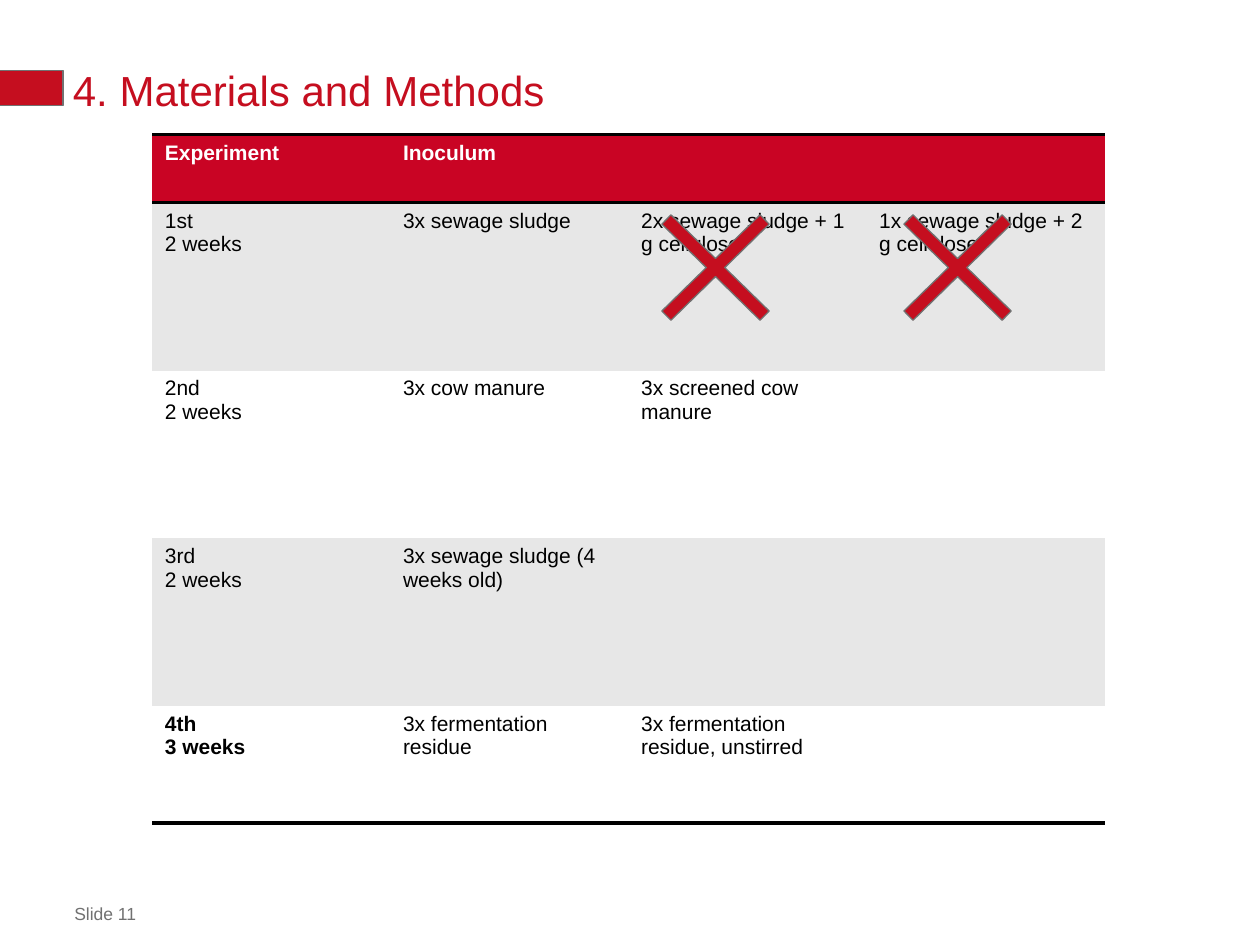
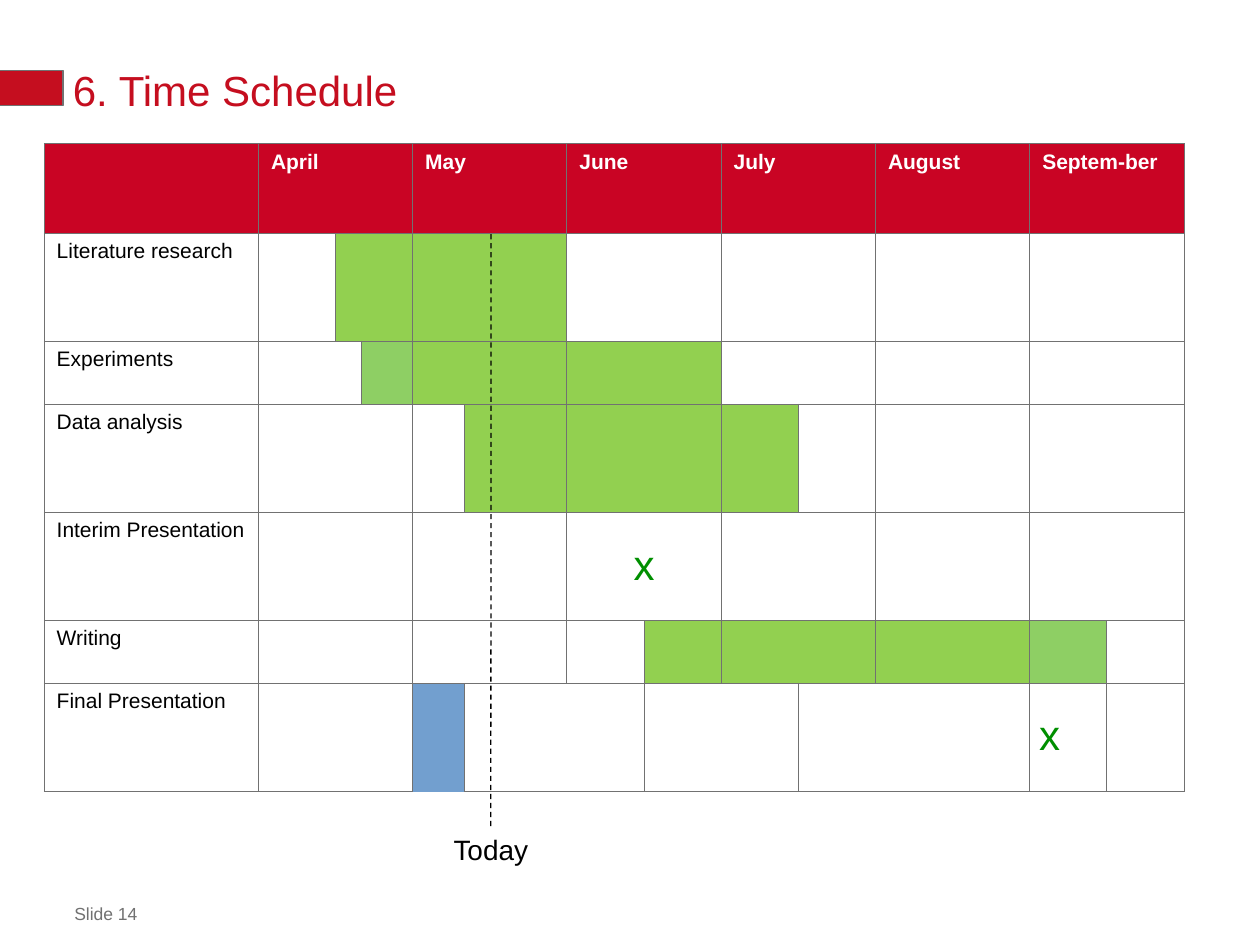
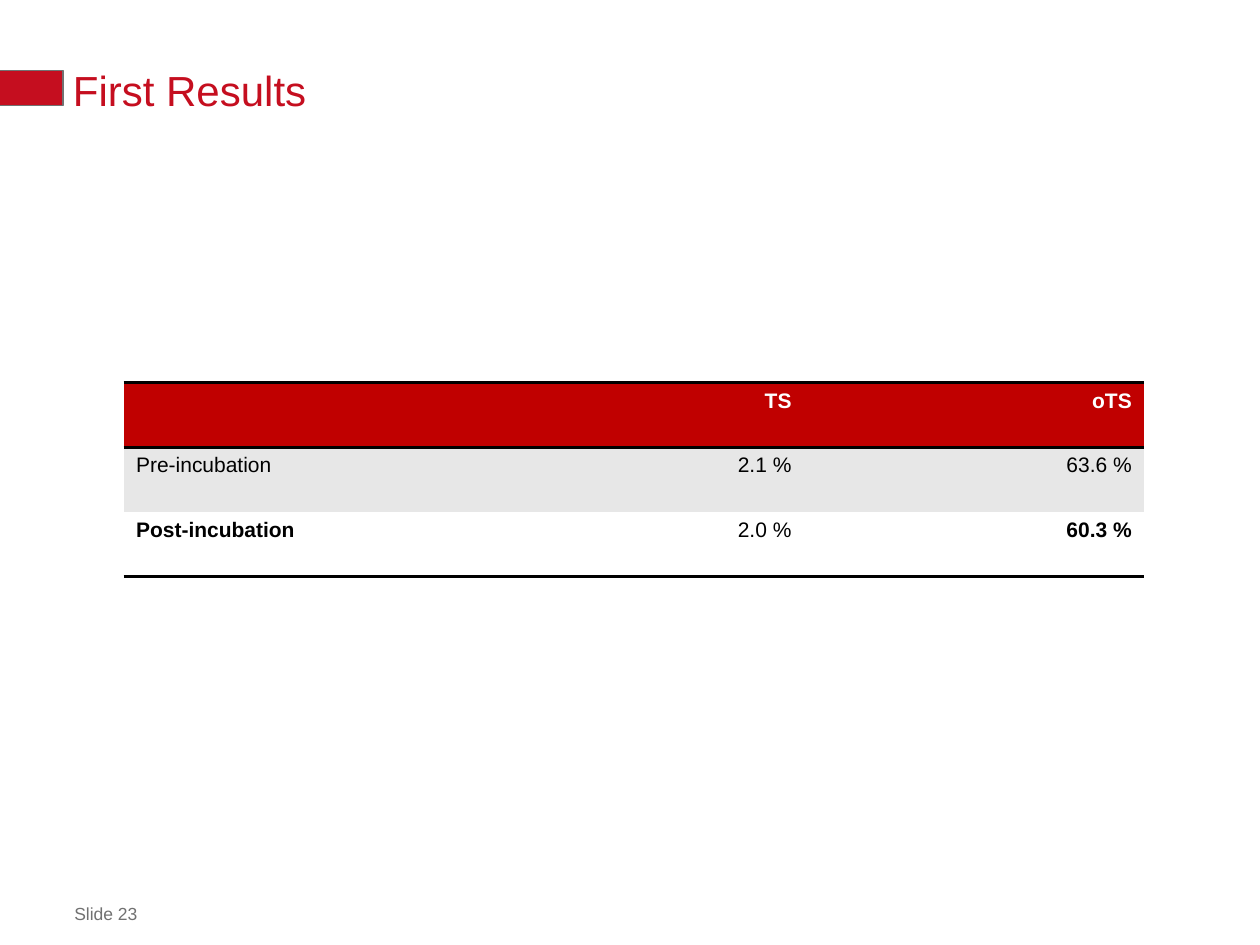
from lxml import etree
from pptx import Presentation
from pptx.dml.color import RGBColor
from pptx.enum import dml, shapes, text
from pptx.oxml.ns import qn
from pptx import util as u

RED, HEAD, DARK = "C50E1F", "C90424", "C00000"
GREY, BAND, WHITE, BLACK = "717171", "E7E7E7", "FFFFFF", "000000"
GREEN, PALE, MARK = "92D050", "8ECF64", "008F00"
PLAIN = "{2D5ABB26-0587-4C30-8999-92F81FD0307C}"
LEFT, MID, RIGHT = text.PP_ALIGN.LEFT, text.PP_ALIGN.CENTER, text.PP_ALIGN.RIGHT


def tint(code):
    return RGBColor.from_string(code)


class Deck:
    font = "Arial"

    def __init__(self):
        self.show = Presentation()
        self.show.slide_width = u.Cm(25.4)
        self.show.slide_height = u.Cm(19.05)
        self.page = None

    def slide(self, title, number):
        self.page = self.show.slides.add_slide(self.show.slide_layouts[6])
        self.label(f"Slide {number}", 1.5, 18.21, 18.39, 0.43, 10, GREY, pad=0)
        self.shape(shapes.MSO_SHAPE.RECTANGLE, -0.03, 1.42, 1.3, 0.71)
        head = self.label(title, 1.47, 1.32, 22.4, 0.99, 24, RED, pad=0)
        head.text_frame.vertical_anchor = text.MSO_ANCHOR.BOTTOM
        head.text_frame.paragraphs[0].line_spacing = u.Pt(30)

    def words(self, frame, copy, size, ink, align=LEFT, bold=False):
        frame.text = copy
        for para in frame.paragraphs:
            para.alignment = align
            for run in para.runs:
                run.font.name = self.font
                run.font.size = u.Pt(size)
                run.font.bold = bold
                run.font.color.rgb = tint(ink)

    def label(self, copy, x, y, wide, high, size, ink, align=LEFT, pad=None):
        box = self.page.shapes.add_textbox(u.Cm(x), u.Cm(y), u.Cm(wide), u.Cm(high))
        frame = box.text_frame
        frame.word_wrap = True
        if pad is not None:
            frame.margin_left = frame.margin_right = u.Cm(pad)
            frame.margin_top = frame.margin_bottom = u.Cm(pad)
        self.words(frame, copy, size, ink, align)
        return box

    def shape(self, kind, x, y, wide, high):
        item = self.page.shapes.add_shape(kind, u.Cm(x), u.Cm(y), u.Cm(wide), u.Cm(high))
        item.shadow.inherit = False
        item.fill.solid()
        item.fill.fore_color.rgb = tint(RED)
        item.line.color.rgb = tint(GREY)
        item.line.width = u.Pt(0.75)
        return item

    def cross(self, x, y):
        item = self.shape(shapes.MSO_SHAPE.MATH_MULTIPLY, x, y, 3.81, 3.73)
        item.adjustments[0] = 0.07

    def dash(self, x, top, goal):
        line = self.page.shapes.add_connector(
            shapes.MSO_CONNECTOR.STRAIGHT, u.Cm(x), u.Cm(top), u.Cm(x), goal.top)
        line.end_connect(goal, 0)
        line.line.color.rgb = tint(BLACK)
        line.line.width = u.Pt(0.75)
        line.line.dash_style = dml.MSO_LINE.DASH
        etree.SubElement(line._element.spPr, qn("a:effectLst"))

    def table(self, x, y, cols, rows):
        frame = self.page.shapes.add_table(
            len(rows), len(cols), u.Cm(x), u.Cm(y), u.Cm(sum(cols)), u.Cm(sum(rows)))
        grid = frame.table
        grid.first_row = grid.horz_banding = False
        grid._tbl.tblPr.find(qn("a:tableStyleId")).text = PLAIN
        for col, wide in zip(grid.columns, cols):
            col.width = u.Cm(wide)
        for row, high in zip(grid.rows, rows):
            row.height = u.Cm(high)
        return grid

    def edge(self, cell, sides, ink, width):
        props = cell._tc.get_or_add_tcPr()
        for side in sides:
            line = etree.SubElement(props, qn(f"a:ln{side}"), w=str(u.Pt(width)))
            fill = etree.SubElement(line, qn("a:solidFill"))
            etree.SubElement(fill, qn("a:srgbClr"), val=ink)

    def paint(self, cell, fill):
        cell.fill.solid()
        cell.fill.fore_color.rgb = tint(fill)

    def ruled(self, x, y, cols, rows, data, head, bold, aligns):
        grid = self.table(x, y, cols, rows)
        last = len(rows) - 1
        for r, line in enumerate(data):
            sides = "TB" if r == 0 else "B" if r == last else ""
            fill = head if r == 0 else BAND if r % 2 else WHITE
            for c, copy in enumerate(line):
                cell = grid.cell(r, c)
                self.edge(cell, sides, BLACK, 2)
                self.paint(cell, fill)
                if copy:
                    self.words(cell.text_frame, copy, 12, BLACK if r else WHITE,
                               aligns[c], r == 0 or (r, c) in bold)
        return grid


def methods(deck):
    deck.slide("4. Materials and Methods", 11)
    data = [
        ("Experiment", "Inoculum", "", ""),
        ("1st\n2 weeks", "3x sewage sludge",
         "2x sewage sludge + 1 g cellulose", "1x sewage sludge + 2 g cellulose"),
        ("2nd\n2 weeks", "3x cow manure", "3x screened cow manure", ""),
        ("3rd\n2 weeks", "3x sewage sludge (4 weeks old)", "", ""),
        ("4th\n3 weeks", "3x fermentation residue",
         "3x fermentation residue, unstirred", ""),
    ]
    grid = deck.ruled(3.07, 2.72, [4.8] * 4, [1.37, 3.38, 3.38, 3.38, 2.36],
                      data, HEAD, {(4, 0)}, [LEFT] * 4)
    grid.cell(0, 1).merge(grid.cell(0, 3))
    for x in (12.52, 17.4):
        deck.cross(x, 3.53)


def schedule(deck):
    deck.slide("6. Time Schedule", 14)
    months = ["April", "May", "June", "July", "August", "Septem-ber"]
    tasks = [("Literature research", 3, 12), ("Experiments", 4, 18),
             ("Data analysis", 8, 21), ("Interim Presentation", 0, 0),
             ("Writing", 15, 33), ("Final Presentation", 0, 0)]
    marks = [0, 2, 3, 4, 6, 8, 12, 15, 18, 21, 24, 30, 33, 36]
    pale = {(2, 4), (5, 30)}
    tall, low, sixth = 2.18, 1.27, 3.11 / 6
    cols = [4.32] + [(b - a) * sixth for a, b in zip(marks, marks[1:])]
    grid = deck.table(0.89, 2.9, cols, [1.8, tall, low, tall, tall, low, tall])

    for r, (name, start, end) in enumerate([("", 0, 0)] + tasks):
        for cell in grid.rows[r].cells:
            deck.edge(cell, "LRTB", GREY, 0.5)
            deck.paint(cell, WHITE if r else HEAD)
        if name:
            deck.words(grid.cell(r, 0).text_frame, name, 12, BLACK)
        cuts = sorted({*range(0, 37, 6), start, end})
        for a, b in zip(cuts, cuts[1:]):
            first, last = marks.index(a) + 1, marks.index(b)
            cell = grid.cell(r, first)
            if last > first:
                cell.merge(grid.cell(r, last))
            if start <= a < end:
                deck.paint(cell, PALE if (r, a) in pale else GREEN)

    for i, month in enumerate(months):
        cell = grid.cell(0, marks.index(i * 6) + 1)
        deck.words(cell.text_frame, month, 12, WHITE, bold=True)
    talk = grid.cell(4, marks.index(12) + 1).text_frame
    deck.words(talk, "x", 24, MARK, MID)
    talk.paragraphs[0].line_spacing = 1.5

    today = deck.label("Today", 8.79, 16.66, 2.21, 0.94, 16, BLACK, MID)
    deck.dash(9.9, 4.72, today)
    deck.label("x", 20.7, 14.15, 0.79, 1.27, 24, MARK, MID)


def results(deck):
    deck.slide("First Results", 23)
    data = [("", "TS", "oTS"),
            ("Pre-incubation", "2.1 %", "63.6 %"),
            ("Post-incubation", "2.0 %", "60.3 %")]
    deck.ruled(2.49, 7.72, [6.86] * 3, [1.3] * 3, data, DARK,
               {(2, 0), (2, 2)}, [LEFT, RIGHT, RIGHT])


def main():
    deck = Deck()
    methods(deck)
    schedule(deck)
    results(deck)
    deck.show.save("out.pptx")


if __name__ == "__main__":
    main()
